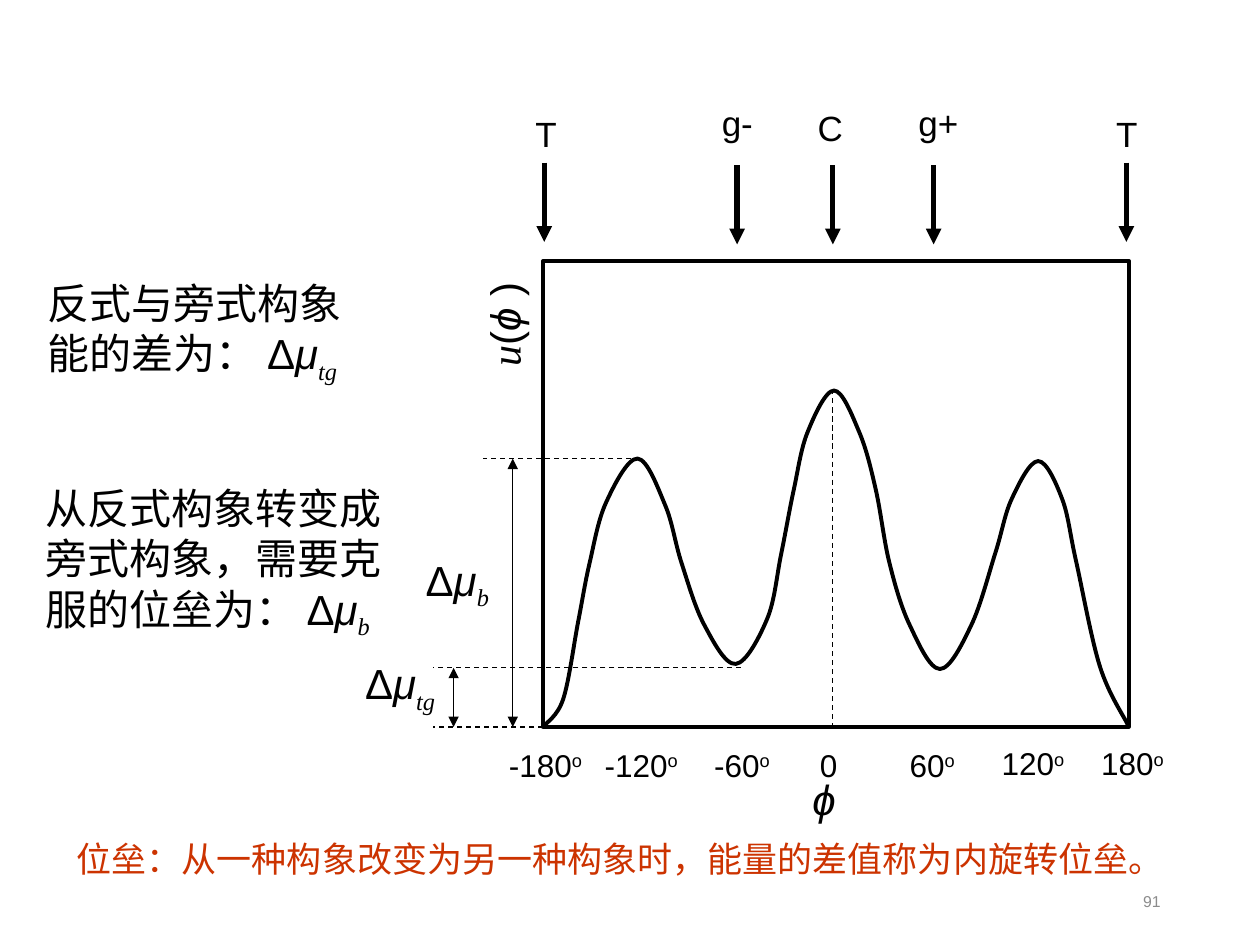
import dataclasses
import pptx
import pptx.dml.color
import pptx.enum.dml
import pptx.enum.shapes
import pptx.enum.text
import pptx.oxml
import pptx.oxml.ns
import pptx.util

COLS, ROWS = 100, 75  # grid that covers the slide
CELL = pptx.util.Inches(10) // COLS
qn = pptx.oxml.ns.qn


@dataclasses.dataclass(frozen=True)
class Theme:
    latin: str = "Arial"
    serif: str = "Times New Roman"
    cjk: str = "Noto Sans CJK SC"
    ink: str = "000000"
    accent: str = "CC3300"
    muted: str = "8C8C8C"
    body: float = 24
    label: float = 20
    tick: float = 18
    number: float = 9
    thin: float = 0.75
    frame: float = 2
    curve: float = 2.25
    bold: float = 3


T = Theme()

# Run styles: font, italic, baseline shift in percent
STYLES = {
    "italic": (None, True, 0),
    "serif": (T.serif, True, 0),
    "sub": (T.serif, True, -25),
    "sup": (None, None, 30),
    "cjk": (T.cjk, None, 0),
}

# Plot area in grid units
LEFT, TOP, WIDTH, HEIGHT = 43.1, 20.7, 46.5, 37
BASE = TOP + HEIGHT
CENTER, PEAK, VALLEY = 66.1, 36.4, 53

CURVE = [
    (43.1, 57.7), (44.7, 55.5), (45.9, 49.3), (46.8, 44.7), (48.1, 39.9),
    (50.6, 36.4), (52.8, 40.1), (54.1, 44.7), (55.9, 49.6), (58.4, 52.7),
    (60.9, 49.1), (62, 44), (63, 38.9), (64.1, 34.3), (66.2, 31),
    (68.2, 34.3), (69.5, 38.8), (70.6, 44.7), (72.2, 49.6), (74.6, 53.1),
    (77.1, 49.6), (79, 43.9), (80.3, 39.6), (82.4, 36.6), (84.3, 39.6),
    (85.4, 44.5), (87.3, 52.9), (89.5, 57.5),
]


def g(n):
    return pptx.util.Emu(round(n * CELL))


def rgb(value):
    return pptx.dml.color.RGBColor.from_string(value)


def set_line(line, width):
    line.color.rgb = rgb(T.ink)
    line.width = pptx.util.Pt(width)


def add_text(s, left, top, width, height, runs, size, color=T.ink, wrap=True):
    """Add a one-paragraph text box; runs are (text, style name) pairs."""
    box = s.shapes.add_textbox(g(left), g(top), g(width), g(height))
    tf = box.text_frame
    tf.word_wrap = wrap
    p = tf.paragraphs[0]
    p.font.size = pptx.util.Pt(size)
    p.font.name = T.latin
    p.font.color.rgb = rgb(color)
    for text, style in runs:
        r = p.add_run()
        r.text = text
        if style is None:
            continue
        name, italic, shift = STYLES[style]
        r.font.italic = italic
        if name:
            r.font.name = name
        rpr = r._r.get_or_add_rPr()
        if shift:
            rpr.set("baseline", str(shift * 1000))
        if style == "cjk":
            ea = pptx.oxml.parse_xml(f'<a:ea {pptx.oxml.ns.nsdecls("a")}/>')
            ea.set("typeface", T.cjk)
            rpr.append(ea)
    return box


def add_line(s, x1, y1, x2, y2, width=T.thin, dash=False, ends=()):
    """Add a straight line; ends names the ends that carry an arrowhead."""
    c = s.shapes.add_connector(
        pptx.enum.shapes.MSO_CONNECTOR.STRAIGHT, g(x1), g(y1), g(x2), g(y2))
    set_line(c.line, width)
    if dash:
        c.line.dash_style = pptx.enum.dml.MSO_LINE.DASH
    ln = c.line._get_or_add_ln()
    for end in ends:
        ln.append(ln.makeelement(qn(f"a:{end}"), {"type": "triangle"}))
    sppr = c._element.spPr
    sppr.append(sppr.makeelement(qn("a:effectLst"), {}))


def add_curve(s, knots):
    """Add a smooth open curve through the knots (Catmull-Rom spline)."""
    points = [(g(x), g(y)) for x, y in knots]
    builder = s.shapes.build_freeform(*points[0])
    builder.add_line_segments(points[1:], close=False)
    shape = builder.convert_to_shape()
    shape.shadow.inherit = False
    shape.fill.background()
    set_line(shape.line, T.curve)

    pts = [(int(e.get("x")), int(e.get("y")))
           for e in shape._element.iter(qn("a:pt"))]
    padded = [pts[0], *pts, pts[-1]]
    segments = list(shape._element.iter(qn("a:lnTo")))
    for seg, a, b, c, d in zip(segments, padded, pts, pts[1:], padded[3:]):
        out = [q + (r - o) / 6 for o, q, r in zip(a, b, c)]
        into = [r - (t - q) / 6 for q, r, t in zip(b, c, d)]
        bezier = seg.makeelement(qn("a:cubicBezTo"), {})
        for x, y in (out, into, c):
            xy = {"x": str(round(x)), "y": str(round(y))}
            bezier.append(bezier.makeelement(qn("a:pt"), xy))
        seg.getparent().replace(seg, bezier)


def add_frame(s):
    frame = s.shapes.add_shape(pptx.enum.shapes.MSO_SHAPE.RECTANGLE,
                               g(LEFT), g(TOP), g(WIDTH), g(HEIGHT))
    frame.shadow.inherit = False
    frame.fill.background()
    set_line(frame.line, T.frame)


def add_axis_labels(s):
    ticks = [("-180", 39.4, 58.7, 9.2), ("-120", 47, 58.7, 8),
             ("-60", 55.7, 58.7, 6.6), ("0", 64.1, 58.7, 3.4),
             ("60", 71.2, 58.7, 5.8), ("120", 78.5, 58.6, 7.2),
             ("180", 86.4, 58.6, 7.9)]
    for text, left, top, width in ticks:
        runs = [(text, None)] + ([("o", "sup")] if text != "0" else [])
        add_text(s, left, top, width, 4, runs, T.tick, wrap=False)
    add_text(s, 63.5, 60.9, 6.3, 5, [("ϕ", "italic")], T.body)
    title = [("u", "serif"), ("(", None), ("ϕ ", "italic"), (")", None)]
    add_text(s, 35.3, 22.9, 9.4, 5, title, T.body).rotation = 270


def add_conformation(s, text, x, left, top, width, arrow_top):
    add_text(s, left, top, width, 4.3, [(text, None)], T.label)
    add_line(s, x, arrow_top, x, arrow_top + 6.3, T.bold, ends=["tailEnd"])


def delta_mu(sub):
    return [("Δ", None), ("μ", "italic"), (sub, "sub")]


def main():
    prs = pptx.Presentation()
    prs.slide_width, prs.slide_height = g(COLS), g(ROWS)
    s = prs.slides.add_slide(prs.slide_layouts[6])

    # Energy curve and its axes
    add_curve(s, CURVE)
    add_frame(s)
    add_axis_labels(s)

    # Guide lines and energy differences
    for x1, y1, x2, y2 in [(LEFT, BASE, 34.4, BASE),
                           (CENTER, 30.9, CENTER, BASE),
                           (50.1, PEAK, 38.3, PEAK),
                           (58.8, VALLEY, 34.4, VALLEY)]:
        add_line(s, x1, y1, x2, y2, dash=True)
    for x, top in [(40.7, PEAK), (36, VALLEY)]:
        add_line(s, x, top, x, BASE, ends=["headEnd", "tailEnd"])
    add_text(s, 32.8, 43.5, 7.9, 5, delta_mu("b"), T.body)
    add_text(s, 28, 51.7, 8.6, 5, delta_mu("tg"), T.body)

    # Conformations above the plot
    for mark in [("T", 43.2, 41.5, 8.4, 3.9, 12.9),
                 ("g-", 58.5, 56.3, 7.6, 5.5, 13.1),
                 ("C", CENTER, 63.9, 8, 4, 13.1),
                 ("g+", 74.1, 71.9, 7.6, 5.5, 13.1),
                 ("T", 89.4, 87.6, 8.4, 3.9, 12.9)]:
        add_conformation(s, *mark)

    # Explanations
    add_text(s, 2.8, 21.5, 28.4, 9.1,
             [("反式与旁式构象能的差为： ", "cjk"), *delta_mu("tg")], T.body)
    add_text(s, 2.6, 37.8, 30.1, 13.1,
             [("从反式构象转变成旁式构象，需要克服的位垒为： ", "cjk"),
              *delta_mu("b")], T.body)
    add_text(s, 5.1, 66, 88.2, 4.3,
             [("位垒：从一种构象改变为另一种构象时，能量的差值称为内旋转位垒。", "cjk")],
             T.label, T.accent)

    # Slide number
    number = add_text(s, 70.6, 69.5, 22.5, 4, [("91", None)], T.number, T.muted)
    number.text_frame.vertical_anchor = pptx.enum.text.MSO_ANCHOR.MIDDLE
    number.text_frame.paragraphs[0].alignment = pptx.enum.text.PP_ALIGN.RIGHT

    prs.save("out.pptx")


if __name__ == "__main__":
    main()
